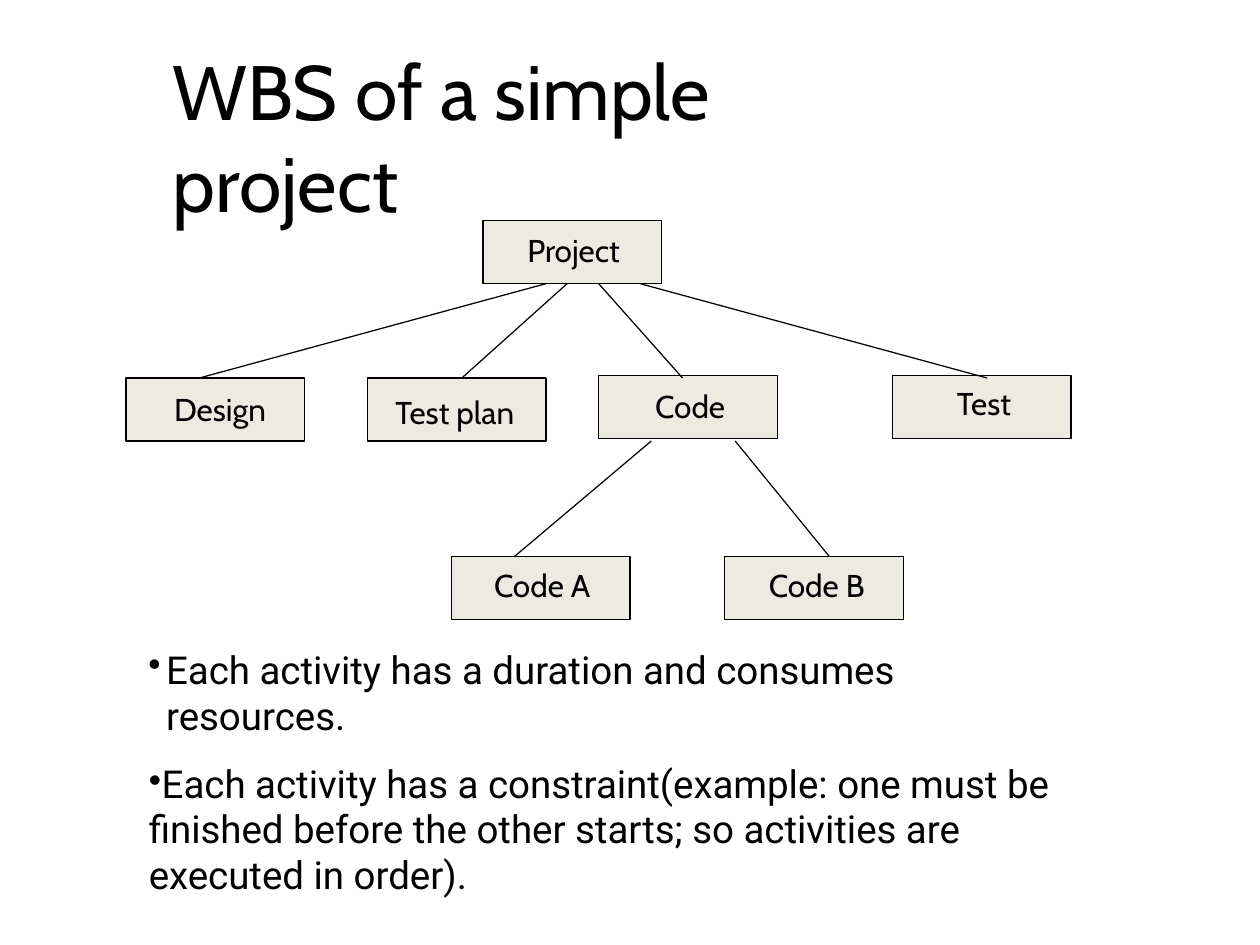
from typing import NamedTuple

from lxml import etree
from pptx import Presentation
from pptx.dml.color import RGBColor
from pptx.enum.shapes import MSO_CONNECTOR, MSO_SHAPE
from pptx.enum.text import MSO_ANCHOR, PP_ALIGN
from pptx.oxml.ns import qn
from pptx.util import Cm, Pt

RECT = MSO_SHAPE.RECTANGLE
LINE = MSO_CONNECTOR.STRAIGHT
TOP = MSO_ANCHOR.TOP
LEFT = PP_ALIGN.LEFT

BLACK = RGBColor(0x00, 0x00, 0x00)
BEIGE = RGBColor(0xED, 0xEB, 0xE0)
HEAD_FONT = "Cabin"
BODY_FONT = "Roboto"
BOX_W, BOX_H = 3.6, 1.27
STROKE = Pt(0.72)


class Task(NamedTuple):
    name: str
    x: float
    y: float
    indent: float
    inset: float


class Link(NamedTuple):
    x1: float
    y1: float
    x2: float
    y2: float


class Point(NamedTuple):
    text: str
    indent: float
    hang: float
    pitch: float
    gap: float


TASKS = [
    Task("Project", 9.74, 4.45, 0.89, 0.2),
    Task("Design", 2.54, 7.62, 0.97, 0.25),
    Task("Test plan", 7.41, 7.62, 0.56, 0.3),
    Task("Code", 12.07, 7.57, 1.14, 0.23),
    Task("Test", 17.99, 7.57, 1.3, 0.18),
    Task("Code A", 9.1, 11.22, 0.86, 0.2),
    Task("Code B", 14.61, 11.22, 0.89, 0.2),
]

LINKS = [
    Link(11, 5.72, 4.02, 7.62),
    Link(11.43, 5.72, 9.31, 7.62),
    Link(12.07, 5.72, 13.76, 7.62),
    Link(12.91, 5.72, 19.9, 7.62),
    Link(13.13, 8.89, 10.37, 11.22),
    Link(14.82, 8.89, 16.72, 11.22),
]

POINTS = [
    Point("Each activity has a duration and consumes resources.",
          0.38, -0.36, 1, 0),
    Point("Each activity has a constraint(example: one must be finished "
          "before the other starts; so activities are executed in order).",
          0.03, 0, 0.98, 13.8),
]


def set_font(para, name: str, size: float) -> None:
    font = para.font
    font.name, font.size = name, Pt(size)
    font.color.rgb = BLACK


def set_frame(frame, left: float, top: float) -> None:
    """Wrap the text from the top, with only left and top insets."""
    frame.word_wrap = True
    frame.vertical_anchor = TOP
    frame.margin_left, frame.margin_top = Cm(left), Cm(top)
    frame.margin_right = frame.margin_bottom = 0


def add_title(slide, text: str) -> None:
    frame = slide.shapes.add_textbox(
        Cm(3.45), Cm(0.84), Cm(15.09), Cm(1.93)).text_frame
    set_frame(frame, 0.03, 0.03)
    para = frame.paragraphs[0]
    para.text = text
    set_font(para, HEAD_FONT, 44)


def add_task(slide, task: Task) -> None:
    box = slide.shapes.add_shape(
        RECT, Cm(task.x), Cm(task.y), Cm(BOX_W), Cm(BOX_H))
    box.shadow.inherit = False
    box.fill.solid()
    box.fill.fore_color.rgb = BEIGE
    box.line.color.rgb = BLACK
    box.line.width = STROKE
    set_frame(box.text_frame, task.indent, task.inset)
    para = box.text_frame.paragraphs[0]
    para.text = task.name
    para.alignment = LEFT
    set_font(para, HEAD_FONT, 18)


def add_link(slide, link: Link) -> None:
    line = slide.shapes.add_connector(LINE, *map(Cm, link))
    line.line.color.rgb = BLACK
    line.line.width = STROKE
    etree.SubElement(line._element.spPr, qn("a:effectLst"))


def add_bullet(para, indent: float, hang: float) -> None:
    """Put a bullet and its indents ahead of the default run properties."""
    props = para._p.get_or_add_pPr()
    props.set("marL", str(Cm(indent)))
    props.set("indent", str(Cm(hang)))
    base = props.find(qn("a:defRPr"))
    for tag, key, value in (("a:buSzPct", "val", "95000"),
                            ("a:buChar", "char", "•")):
        mark = etree.Element(qn(tag))
        mark.set(key, value)
        base.addprevious(mark)


def add_points(slide, points: list[Point]) -> None:
    frame = slide.shapes.add_textbox(
        Cm(2.97), Cm(12.52), Cm(18.4), Cm(4.7)).text_frame
    set_frame(frame, 0, 0.5)
    for i, point in enumerate(points):
        para = frame.add_paragraph() if i else frame.paragraphs[0]
        para.text = point.text
        para.line_spacing = point.pitch
        para.space_before = Pt(point.gap)
        set_font(para, BODY_FONT, 22)
        add_bullet(para, point.indent, point.hang)


def main() -> None:
    deck = Presentation()
    deck.slide_width, deck.slide_height = Cm(25.4), Cm(19.05)
    slide = deck.slides.add_slide(deck.slide_layouts[6])
    add_title(slide, "WBS of a simple project")
    for task in TASKS:
        add_task(slide, task)
    for link in LINKS:
        add_link(slide, link)
    add_points(slide, POINTS)
    deck.save("out.pptx")


if __name__ == "__main__":
    main()
